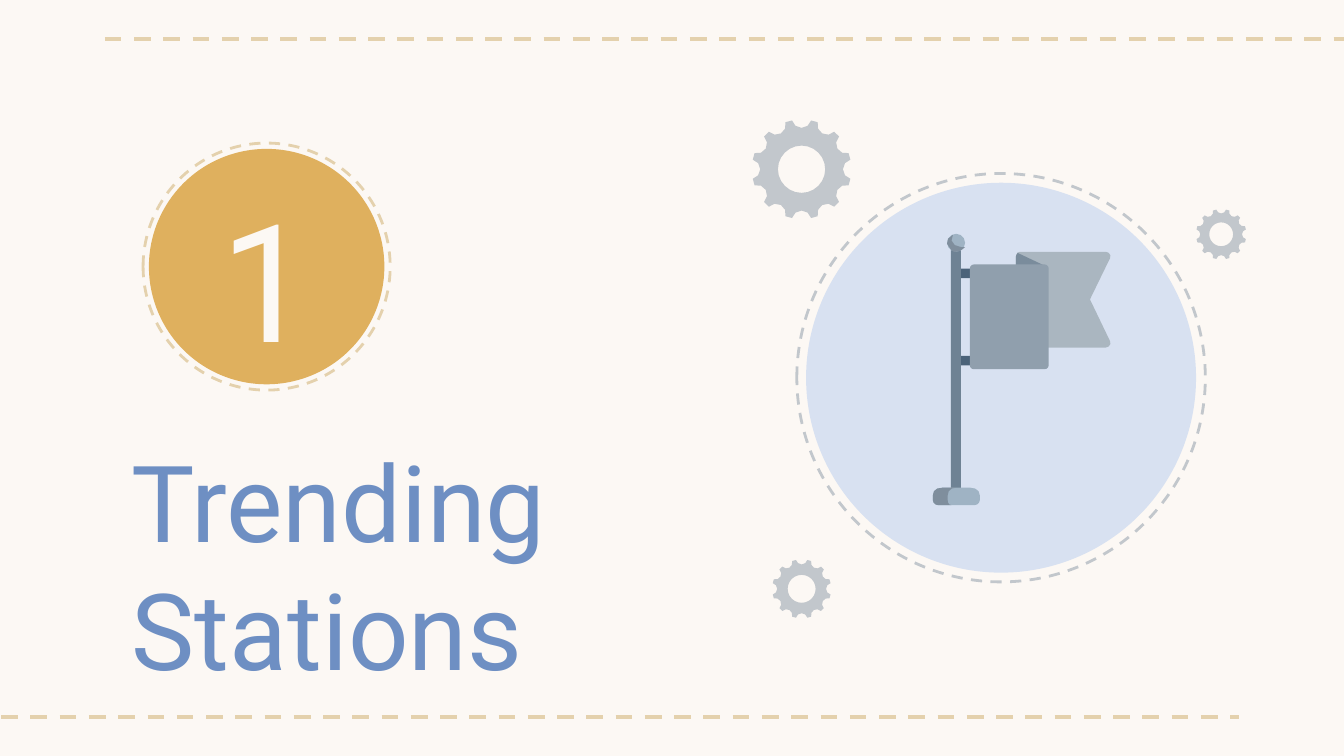
"""Build the section slide "Trending Stations" with its flag illustration."""
from dataclasses import dataclass
from math import cos, radians, sin
from typing import Any, NamedTuple, Optional

from lxml import etree
from pptx import Presentation
from pptx.dml.color import RGBColor
from pptx.enum import dml, shapes, text
from pptx.oxml.ns import qn
from pptx.util import Cm, Pt


@dataclass(frozen=True)
class Theme:
    font: str = "Roboto"
    title_size: float = 57
    number_size: float = 88
    rule_width: float = 2.25
    ring_width: float = 1.5
    paper: str = "FCF8F4"
    sand: str = "E4D1AD"
    gold: str = "DFB05E"
    blue: str = "6E8FC3"
    sky: str = "D8E1F1"
    grey: str = "C2C7CC"
    tail: str = "AAB6C0"
    fold: str = "7A8C9C"
    clip: str = "4B637A"
    banner: str = "909FAD"
    pole: str = "6E8294"
    metal: str = "9FB3C4"
    shade: str = "7F8E9D"


class Badge(NamedTuple):
    x: float
    y: float
    ring: float
    disc: float
    ring_color: str
    disc_color: str


class Gear(NamedTuple):
    x: float
    y: float
    radius: float


class Rule(NamedTuple):
    left: float
    right: float
    y: float


class Preset(NamedTuple):
    kind: Any
    left: float
    top: float
    width: float
    height: float
    color: str
    corner: Optional[float] = None


class Outline(NamedTuple):
    color: str
    steps: tuple


THEME = Theme()
KIND = shapes.MSO_SHAPE
RULES = (Rule(1.98, 25.93, 0.73), Rule(-0.53, 23.42, 13.56))
NUMBER_BADGE = Badge(5.04, 5.04, 4.67, 4.45, THEME.sand, THEME.gold)
FLAG_BADGE = Badge(18.92, 7.14, 7.72, 7.37, THEME.grey, THEME.sky)
GEARS = (Gear(15.15, 3.2, 0.93), Gear(23.08, 4.43, 0.47), Gear(15.15, 11.13, 0.55))
BASE_LEFT = ((17.81, 9.22), (17.7, 9.22, 17.63, 9.27, 17.63, 9.37), (17.63, 9.45),
             (17.63, 9.5, 17.68, 9.55, 17.73, 9.55))
FLAG = (
    Outline(THEME.tail, (
        (20.9, 4.76), (19.28, 4.76), (19.24, 4.76, 19.2, 4.8, 19.2, 4.85),
        (19.2, 6.57), (20.9, 6.57), (20.96, 6.57, 21.01, 6.5, 20.98, 6.45),
        (20.6, 5.66), (20.98, 4.88), (21.01, 4.83, 20.96, 4.76, 20.9, 4.76))),
    Outline(THEME.fold, (
        (19.23, 4.78), (19.23, 4.8, 19.2, 4.83, 19.2, 4.85), (19.2, 5.08),
        (19.74, 5.08), (19.79, 5.08, 19.79, 5.03, 19.76, 5.03))),
    *(Preset(KIND.RECTANGLE, 18.06, top, 0.36, 0.18, THEME.clip) for top in (5.08, 6.73)),
    Preset(KIND.ROUNDED_RECTANGLE, 18.33, 5, 1.49, 1.98, THEME.banner, 0.05),
    Preset(KIND.RECTANGLE, 17.97, 4.67, 0.19, 4.62, THEME.pole),
    Outline(THEME.metal, BASE_LEFT + (
        (18.42, 9.55), (18.47, 9.55, 18.52, 9.5, 18.52, 9.45),
        (18.52, 9.37), (18.52, 9.27, 18.44, 9.22, 18.34, 9.22))),
    Preset(KIND.OVAL, 17.9, 4.42, 0.34, 0.34, THEME.metal),
    Outline(THEME.shade, BASE_LEFT + (
        (17.98, 9.55), (17.93, 9.55, 17.91, 9.5, 17.91, 9.45),
        (17.91, 9.37), (17.91, 9.27, 17.98, 9.22, 18.06, 9.22))),
    Outline(THEME.shade, (
        (18.01, 4.44), (17.88, 4.5, 17.86, 4.62, 17.96, 4.7),
        (17.98, 4.75, 18.03, 4.76, 18.06, 4.76), (18.14, 4.76, 18.19, 4.72, 18.24, 4.67),
        (18.16, 4.67), (18.03, 4.67, 17.93, 4.55, 18.01, 4.44))),
)


def rgb(color: str) -> RGBColor:
    return RGBColor.from_string(color)


def paint(shape: Any, color: str) -> None:
    shape.shadow.inherit = False
    shape.fill.solid()
    shape.fill.fore_color.rgb = rgb(color)
    shape.line.fill.background()


def dash(line: Any, color: str, width: float) -> None:
    line.color.rgb = rgb(color)
    line.width = Pt(width)
    line.dash_style = dml.MSO_LINE.DASH


def draw_rule(parts: Any, rule: Rule) -> None:
    connector = parts.add_connector(shapes.MSO_CONNECTOR.STRAIGHT, Cm(rule.left), Cm(rule.y),
                                    Cm(rule.right), Cm(rule.y))
    dash(connector.line, THEME.sand, THEME.rule_width)
    etree.SubElement(connector._element.spPr, qn("a:effectLst"))


def draw_preset(parts: Any, preset: Preset) -> Any:
    shape = parts.add_shape(preset.kind, Cm(preset.left), Cm(preset.top),
                            Cm(preset.width), Cm(preset.height))
    if preset.corner is not None:
        shape.adjustments[0] = preset.corner
    paint(shape, preset.color)
    return shape


def draw_badge(parts: Any, badge: Badge) -> None:
    ring, _ = (
        draw_preset(parts, Preset(KIND.OVAL, badge.x - size / 2, badge.y - size / 2,
                                  size, size, badge.disc_color))
        for size in (badge.ring, badge.disc))
    ring.fill.background()
    dash(ring.line, badge.ring_color, THEME.ring_width)


def draw_contours(parts: Any, color: str, *contours: list) -> None:
    first, *others = [[(Cm(x), Cm(y)) for x, y in contour] for contour in contours]
    builder = parts.build_freeform(*first[0])
    builder.add_line_segments(first[1:], close=True)
    for contour in others:
        builder.move_to(*contour[0])
        builder.add_line_segments(contour[1:], close=True)
    paint(builder.convert_to_shape(), color)


def draw_outline(parts: Any, outline: Outline, pieces: int = 3) -> None:
    points: list = []
    for step in outline.steps:
        if len(step) == 2:
            points.append(step)
            continue
        (x0, y0), (x1, y1, x2, y2, x3, y3) = points[-1], step
        for t in (i / pieces for i in range(1, pieces + 1)):
            a, b, c, d = (1 - t) ** 3, 3 * t * (1 - t) ** 2, 3 * t * t * (1 - t), t ** 3
            points.append((a * x0 + b * x1 + c * x2 + d * x3,
                           a * y0 + b * y1 + c * y2 + d * y3))
    draw_contours(parts, outline.color, points)


def arc(x: float, y: float, radius: float, start: int, stop: int, step: int) -> list:
    return [(x + radius * cos(radians(a)), y + radius * sin(radians(a)))
            for a in range(start, stop, step)]


def draw_gear(parts: Any, gear: Gear) -> None:
    rim = [point
           for turn in range(0, 360, 30)
           for point in arc(gear.x + 1.04 * gear.radius * cos(radians(turn)),
                            gear.y + 1.04 * gear.radius * sin(radians(turn)),
                            0.2 * gear.radius, turn + 256, turn + 103, -38)]
    hole = arc(gear.x, gear.y, 0.48 * gear.radius, 0, 360, 15)
    draw_contours(parts, THEME.grey, hole, rim)


def write(box: Any, words: str, *, size: float, color: str, align: Any, anchor: Any) -> None:
    frame = box.text_frame
    frame.word_wrap = True
    frame.auto_size = text.MSO_AUTO_SIZE.NONE
    frame.vertical_anchor = anchor
    frame.margin_left = frame.margin_right = frame.margin_top = frame.margin_bottom = Cm(0.25)
    paragraph = frame.paragraphs[0]
    paragraph.alignment = align
    run = paragraph.add_run()
    run.text = words
    run.font.name = THEME.font
    run.font.size = Pt(size)
    run.font.color.rgb = rgb(color)


def main() -> None:
    deck = Presentation()
    deck.slide_width, deck.slide_height = Cm(25.4), Cm(14.29)
    slide = deck.slides.add_slide(deck.slide_layouts[5])
    slide.background.fill.solid()
    slide.background.fill.fore_color.rgb = rgb(THEME.paper)
    parts = slide.shapes
    heading = parts.title
    heading.left, heading.top, heading.width, heading.height = map(Cm, (2.24, 8, 13.03, 2.34))
    write(heading, "Trending Stations", size=THEME.title_size, color=THEME.blue,
          align=text.PP_ALIGN.LEFT, anchor=text.MSO_ANCHOR.TOP)
    for rule in RULES:
        draw_rule(parts, rule)
    draw_badge(parts, NUMBER_BADGE)
    draw_badge(parts.add_group_shape().shapes, FLAG_BADGE)
    number = parts.add_textbox(*map(Cm, (2.54, 2.94, 5, 4.57)))
    write(number, "1", size=THEME.number_size, color=THEME.paper,
          align=text.PP_ALIGN.CENTER, anchor=text.MSO_ANCHOR.MIDDLE)
    for gear in GEARS:
        draw_gear(parts, gear)
    flag = parts.add_group_shape().shapes
    for piece in FLAG:
        (draw_preset if isinstance(piece, Preset) else draw_outline)(flag, piece)
    deck.save("out.pptx")


if __name__ == "__main__":
    main()
